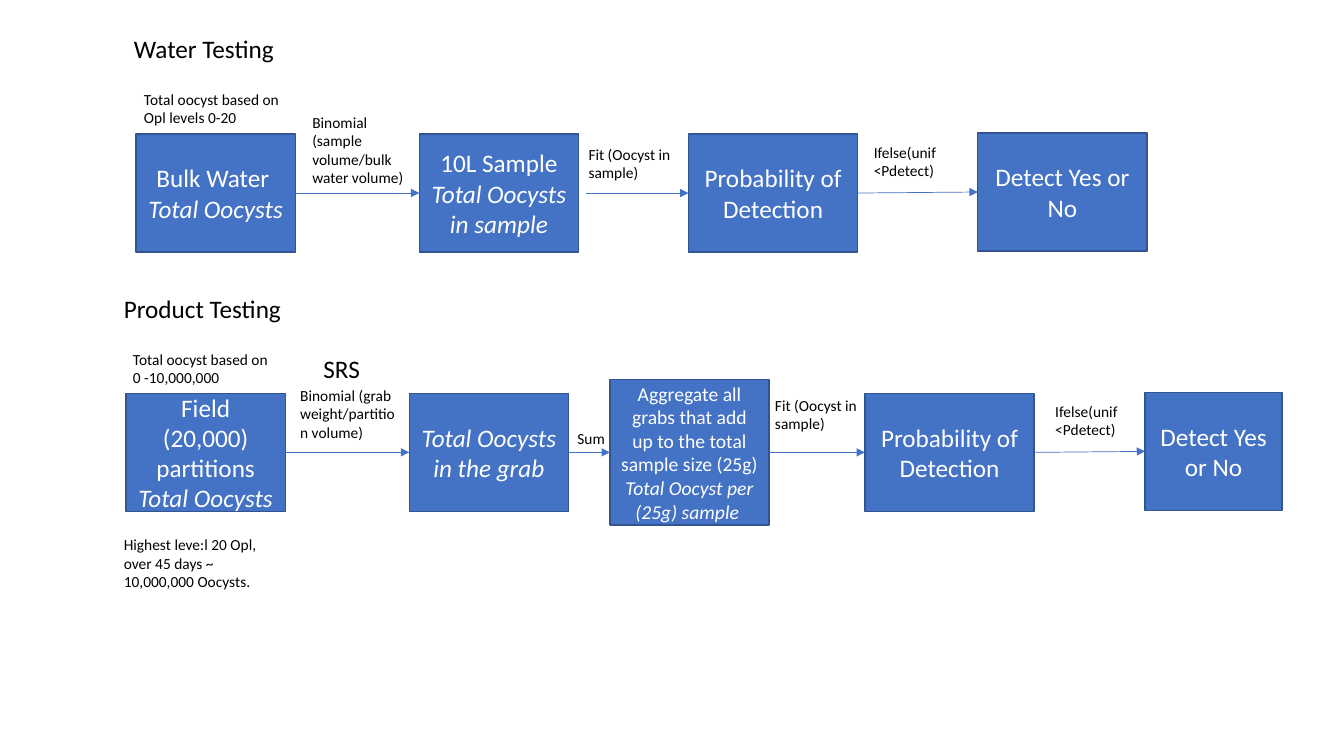
from lxml import etree
from pptx import Presentation, util as u
from pptx.dml.color import RGBColor
from pptx.enum import shapes, text
from pptx.oxml.ns import qn

COLORS = {"fill": "4472C4", "edge": "325491", "light": "FFFFFF", "dark": "000000"}
FONT = "Calibri"

prs = Presentation()
prs.slide_width, prs.slide_height = u.Inches(13.333), u.Inches(7.5)
s = prs.slides.add_slide(prs.slide_layouts[6])
CELL = prs.slide_height / 75  # square grid, 75 rows high


def grid(*cells):
    return [round(c * CELL) for c in cells]


def style(p, size, color, italic=False):
    p.font.name, p.font.size, p.font.italic = FONT, u.Pt(size), italic
    p.font.color.rgb = RGBColor.from_string(COLORS[color])


# Each flow: middle row, then boxes as
# (left, width, height, rise, arrow gap, size, plain text, italic text)
flows = [
    (19.15, [
        (13.5, 15.8, 11.7, 0, 0, 18, "Bulk Water ", "Total Oocysts"),
        (41.6, 15.8, 11.7, 0, 0.7, 18, "10L Sample", "Total Oocysts in sample"),
        (68.3, 16.8, 11.7, 0, 0, 18, "Probability of Detection", ""),
        (97, 16.8, 11.7, 0.1, 0, 18, "Detect Yes or No", ""),
    ]),
    (44.88, [
        (12.5, 15.8, 11.7, 0, 0, 18, "Field (20,000) partitions", "Total Oocysts"),
        (40.6, 15.8, 11.7, 0, 0, 18, "", "Total Oocysts in the grab"),
        (60.5, 15.8, 14.4, 0, 0, 14,
         "Aggregate all grabs that add up to the total sample size (25g)",
         "Total Oocyst per (25g) sample "),
        (85.8, 16.8, 11.7, 0, 0, 18, "Probability of Detection", ""),
        (113.6, 13.6, 11.7, 0.1, 0, 18, "Detect Yes or No", ""),
    ]),
]

for middle, boxes in flows:
    previous, start = None, 0
    for left, width, height, rise, gap, size, plain, italic in boxes:
        top = middle - rise - height / 2
        sp = s.shapes.add_shape(shapes.MSO_SHAPE.RECTANGLE, *grid(left, top, width, height))
        sp.shadow.inherit = False
        sp.fill.solid()
        sp.fill.fore_color.rgb = RGBColor.from_string(COLORS["fill"])
        sp.line.color.rgb = RGBColor.from_string(COLORS["edge"])
        sp.line.width = u.Pt(1)
        tf = sp.text_frame
        tf.word_wrap = True
        tf.vertical_anchor = text.MSO_ANCHOR.MIDDLE
        lines = [(t, i) for t, i in ((plain, False), (italic, True)) if t]
        for n, (line, slanted) in enumerate(lines):
            p = tf.add_paragraph() if n else tf.paragraphs[0]
            p.text = line
            p.alignment = text.PP_ALIGN.CENTER
            style(p, size, "light", slanted)

        if previous is not None:
            arrow = s.shapes.add_connector(
                shapes.MSO_CONNECTOR.STRAIGHT, *grid(start, middle, left, middle - rise))
            if not previous_gap:
                arrow.begin_connect(previous, 3)
            arrow.end_connect(sp, 1)
            arrow.line.color.rgb = RGBColor.from_string(COLORS["fill"])
            arrow.line.width = u.Pt(0.5)
            etree.SubElement(arrow.line._get_or_add_ln(), qn("a:tailEnd"), type="triangle")
            etree.SubElement(arrow._element.spPr, qn("a:effectLst"))
        previous, previous_gap, start = sp, gap, left + width + gap

# (left, top, width, height, size, wording)
labels = [
    (12.3, 2.8, 24.4, 4, 18, "Water Testing"),
    (13.3, 8.4, 15.8, 4.7, 11, "Total oocyst based on Opl levels 0-20"),
    (30, 10.7, 11.4, 8.4, 11, "Binomial (sample volume/bulk water volume)"),
    (57.4, 13.9, 11.4, 4.7, 11, "Fit (Oocyst in sample)"),
    (85.7, 13.7, 11.4, 4.7, 11, "Ifelse(unif <Pdetect)"),
    (11.3, 28.6, 24.4, 4, 18, "Product Testing"),
    (12.2, 34.2, 15.8, 4.7, 11, "Total oocyst based on 0 -10,000,000"),
    (31.1, 34.6, 12.4, 4, 18, "SRS"),
    (28.8, 37.8, 11.4, 6.6, 11, "Binomial (grab weight/partition volume)"),
    (56.3, 42.1, 11.4, 2.9, 11, "Sum"),
    (75.9, 38.8, 11.4, 4.7, 11, "Fit (Oocyst in sample)"),
    (103.7, 39.4, 9.2, 4.7, 11, "Ifelse(unif <Pdetect)"),
    (11.3, 52.6, 15.8, 6.6, 11, "Highest leve:l 20 Opl, over 45 days ~ 10,000,000 Oocysts."),
]
for *place, size, wording in labels:
    tf = s.shapes.add_textbox(*grid(*place)).text_frame
    tf.word_wrap = True
    tf.auto_size = text.MSO_AUTO_SIZE.SHAPE_TO_FIT_TEXT
    p = tf.paragraphs[0]
    p.text = wording
    style(p, size, "dark")

prs.save("out.pptx")
